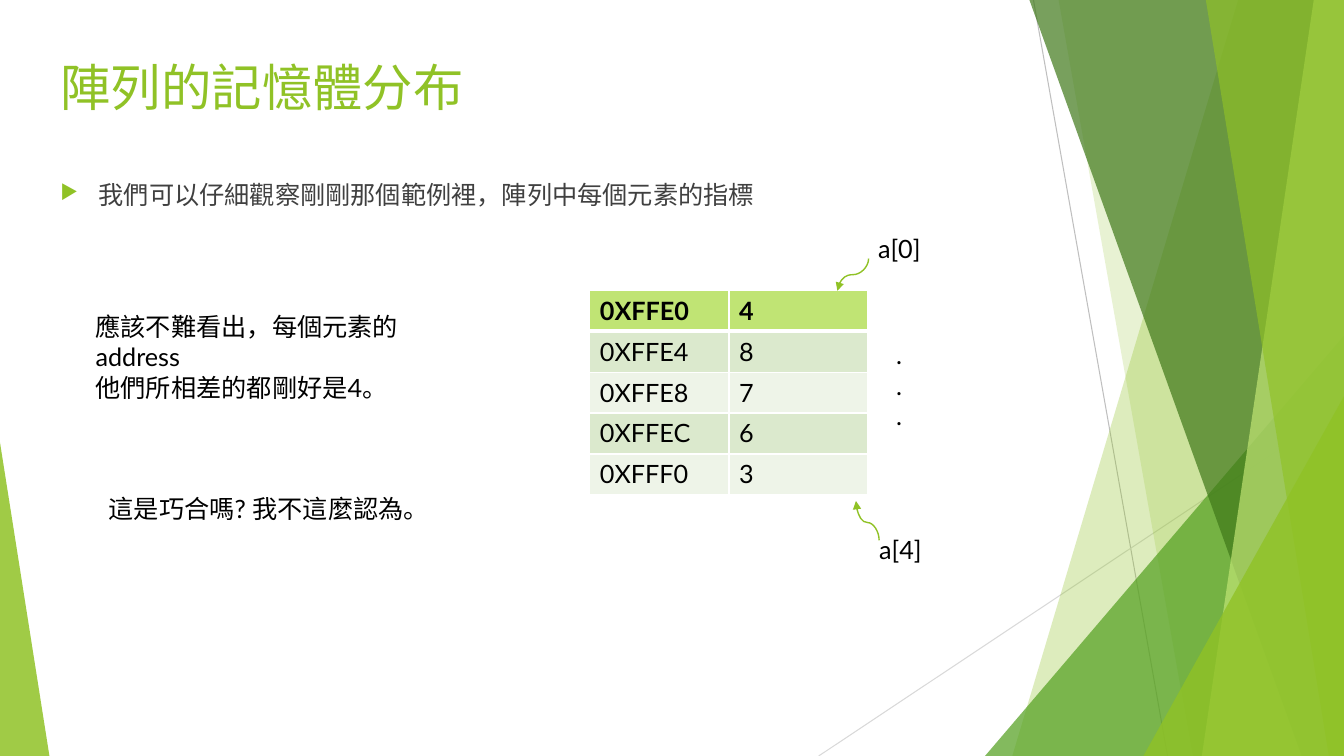
"""Build a slide on how the elements of an array lie in memory."""
from lxml import etree
from pptx import Presentation
from pptx.dml.color import RGBColor
from pptx.enum.shapes import MSO_CONNECTOR, MSO_SHAPE
from pptx.enum.text import MSO_ANCHOR, MSO_AUTO_SIZE, PP_ALIGN
from pptx.oxml.ns import qn
from pptx.util import Inches, Pt

CURVE, STRAIGHT = MSO_CONNECTOR.CURVE, MSO_CONNECTOR.STRAIGHT
TRIANGLE = MSO_SHAPE.ISOSCELES_TRIANGLE
TOP, LEFT, NO_FIT = MSO_ANCHOR.TOP, PP_ALIGN.LEFT, MSO_AUTO_SIZE.NONE

FONT = "Lato"
WIDTH, HEIGHT = 13.33, 7.5
COLORS = {
    "green": "90C226", "mid": "54A021", "dark": "3F7819", "light": "C0E474",
    "text": "404040", "black": "000000", "white": "FFFFFF",
    "rule": "BFBFBF", "pale_rule": "D9D9D9",
    "band1": "DBE9CD", "band2": "EEF4E8",
}

TITLE = "陣列的記憶體分布"
BULLET = "我們可以仔細觀察剛剛那個範例裡，陣列中每個元素的指標"
MEMORY = [("0XFFE0", "4"), ("0XFFE4", "8"), ("0XFFE8", "7"),
          ("0XFFEC", "6"), ("0XFFF0", "3")]
LABELS = [
    ((8.61, 2.27, 0.65, 0.4), ["a[0]"], False),
    ((8.62, 5.25, 0.65, 0.4), ["a[4]"], False),
    ((8.79, 3.32, 0.29, 1.01), [".", ".", "."], False),
    ((0.85, 3.04, 3.9, 1.01),
     ["應該不難看出，每個元素的address", "他們所相差的都剛好是4。"], True),
    ((0.98, 4.84, 3.4, 0.4), ["這是巧合嗎? 我不這麼認為。"], False),
]
POINTERS = [((8.3, 2.57, 0.32, 0.31), False, 50000),
            ((8.41, 5.05, 0.39, 0.23), True, 45200)]
RULES = [((10.25, 0, 11.58, HEIGHT), "rule"),
         ((WIDTH, 4.03, 8.12, HEIGHT), "pale_rule")]
FACETS = [
    ("band", (12.28, 10.04), "green", 30),
    ("band", (10.5, 11.83), "green", 20),
    ("triangle", (9.77, 3.33, 3.56, 1), "mid", 72),
    ("band", (10.21, 12.91), "dark", 70),
    ("band", (13.03, 11.92), "light", 70),
    ("band", (11.96, 13.18), "green", 65),
    ("triangle", (11.34, 3.93, 1.99, 1), "green", 80),
    ("triangle", (0, 4.39, 0.49, 0), "green", 85),
]


def rgb(name):
    return RGBColor.from_string(COLORS[name])


def inches(values):
    return [Inches(v) for v in values]


def add(parent, tag, **attrs):
    return etree.SubElement(parent, qn(tag), attrs)


def write(tf, lines, size=18, color="black", bold=False):
    tf.text = "\n".join(lines)
    for p in tf.paragraphs:
        p.alignment = LEFT
        for r in p.runs:
            r.font.name, r.font.size, r.font.bold = FONT, Pt(size), bold
            r.font.color.rgb = rgb(color)


def add_text(s, box, lines, wrap, color="black"):
    tf = s.shapes.add_textbox(*inches(box)).text_frame
    tf.word_wrap = wrap
    write(tf, lines, color=color)
    return tf


def add_line(s, kind, ends, color, width):
    line = s.shapes.add_connector(kind, *inches(ends))
    line.line.color.rgb = rgb(color)
    line.line.width = Pt(width)
    add(line._element.spPr, "a:effectLst")
    return line


def add_facet(s, kind, geometry, color, alpha):
    if kind == "band":
        top_x, bottom_x = geometry
        builder = s.shapes.build_freeform(Inches(top_x), 0)
        corners = [(WIDTH, 0), (WIDTH, HEIGHT), (bottom_x, HEIGHT)]
        builder.add_line_segments([inches(c) for c in corners])
        sp = builder.convert_to_shape()
    else:
        x, y, w, apex = geometry
        sp = s.shapes.add_shape(TRIANGLE, *inches((x, y, w, HEIGHT - y)))
        sp.adjustments[0] = apex
    sp.shadow.inherit = False
    sp.fill.solid()
    sp.fill.fore_color.rgb = rgb(color)
    sp.line.fill.background()
    fill = sp._element.spPr.find(qn("a:solidFill"))
    add(fill[0], "a:alpha", val=str(alpha * 1000))


def add_bullet(s):
    tf = add_text(s, (0.5, 1.73, 9.4, 4.24), [BULLET], True, "text")
    p = tf.paragraphs[0]
    p.space_before = Pt(10)
    pPr = p._p.get_or_add_pPr()
    pPr.set("marL", str(Inches(0.38)))
    pPr.set("indent", str(-Inches(0.38)))
    add(add(pPr, "a:buClr"), "a:srgbClr", val=COLORS["green"])
    add(pPr, "a:buSzPct", val="80000")
    add(pPr, "a:buChar", char="▶")


def add_border(tcPr, side, width):
    ln = add(tcPr, "a:ln" + side, w=str(Pt(width)))
    add(add(ln, "a:solidFill"), "a:srgbClr", val=COLORS["white"])


def add_memory(s):
    box = inches((5.85, 2.88, 2.76, 2.03))
    table = s.shapes.add_table(len(MEMORY), 2, *box).table
    for i, values in enumerate(MEMORY):
        for j, value in enumerate(values):
            cell = table.cell(i, j)
            write(cell.text_frame, [value], bold=i == 0)
            tcPr = cell._tc.get_or_add_tcPr()
            for side in "LRTB":
                thick = (i, side) in ((0, "B"), (1, "T"))
                add_border(tcPr, side, 3 if thick else 1)
            cell.fill.solid()
            band = "band1" if i % 2 else "band2"
            cell.fill.fore_color.rgb = rgb(band if i else "light")


def add_pointer(s, box, flipped, bend):
    x, y, w, h = box
    start, end = (x + w, x) if flipped else (x, x + w)
    line = add_line(s, CURVE, (start, y, end, y + h), "green", 1)
    spPr = line._element.spPr
    spPr.find(qn("a:xfrm")).set("rot", str(90 * 60000))
    guides = spPr.find(qn("a:prstGeom")).find(qn("a:avLst"))
    add(guides, "a:gd", name="adj1", fmla=f"val {bend}")
    add(spPr.find(qn("a:ln")), "a:tailEnd", type="triangle")


def main():
    prs = Presentation()
    prs.slide_width, prs.slide_height = inches((WIDTH, HEIGHT))
    s = prs.slides.add_slide(prs.slide_layouts[5])
    for ends, color in RULES:
        add_line(s, STRAIGHT, ends, color, 0.75)
    for facet in FACETS:
        add_facet(s, *facet)

    title = s.shapes.title
    title.left, title.top, title.width, title.height = inches((0.5, 0.51, 9.4, 1.44))
    tf = title.text_frame
    tf.vertical_anchor, tf.auto_size = TOP, NO_FIT
    write(tf, [TITLE], 36, "green")

    add_bullet(s)
    add_memory(s)
    for label in LABELS:
        add_text(s, *label)
    for pointer in POINTERS:
        add_pointer(s, *pointer)
    prs.save("out.pptx")


if __name__ == "__main__":
    main()
